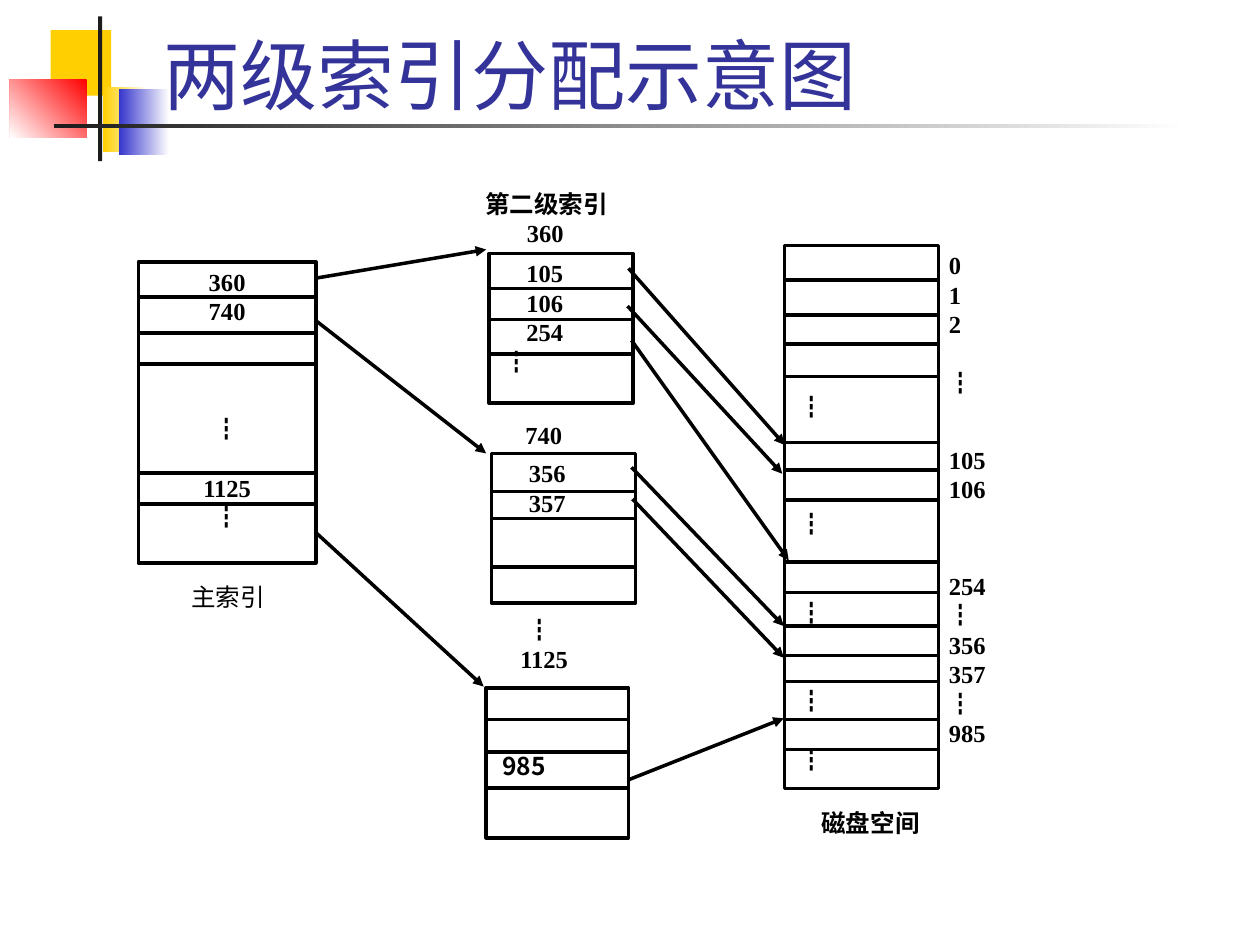
from pptx import Presentation
from pptx.dml.color import RGBColor
from pptx.enum.shapes import MSO_CONNECTOR, MSO_SHAPE
from pptx.enum.text import MSO_ANCHOR, MSO_AUTO_SIZE, PP_ALIGN
from pptx.oxml.ns import qn
from pptx.util import Cm, Pt
from lxml.etree import SubElement

SERIF, SANS = "Times New Roman", "Noto Sans CJK SC"
BLACK, WHITE, YELLOW = "000000", "FFFFFF", "FFCF01"
LINE = 16.8  # line pitch of the 14 pt text, in points
LINE_CM = 0.59
DOTS = "┇"

TITLE = "两级索引分配示意图"

# Corner ornament: place (cm), start colour, end colour, gradient angle
ORNAMENT = [
    ((1.02, 0.61, 1.22, 1.32), YELLOW, None, 0),
    ((2.08, 1.75, 0.91, 1.32), YELLOW, WHITE, 0),
    ((2.39, 1.8, 1.02, 1.32), "3333CC", WHITE, 0),
    ((0.2, 1.6, 1.55, 1.17), "FF0000", WHITE, 225),
    ((1.98, 0.33, 0.08, 2.92), "1C1C1C", None, 0),
    ((1.09, 2.51, 22.86, 0.08), "1C1C1C", WHITE, 0),
]

# Paragraphs are (text, format); skip counts the lines left free above
CENTRED = {"align": PP_ALIGN.CENTER}
ENTRY = {"indent": 0.75}
DISK_DOTS = {"indent": 0.3, "bold": False}

# Blocks: place (cm), top inset, heights of the dividers, paragraphs
BLOCKS = [
    # Disk space
    ((15.82, 4.95, 3.1, 10.95), 5 * LINE_CM,
     [5.64, 6.35, 6.93, 7.59, 8.92, 9.47, 10.08, 11.33, 11.94, 12.62,
      13.21, 13.74, 14.5, 15.11],
     [(DOTS, DISK_DOTS)]
     + [(DOTS, {**DISK_DOTS, "skip": skip}) for skip in (3, 2, 2, 1)]),
    # Main index
    ((2.79, 5.28, 3.58, 6.07), 0.1, [5.99, 6.71, 7.34, 9.53, 10.16],
     [("360", CENTRED), ("740", CENTRED), (DOTS, {**CENTRED, "skip": 3}),
      ("1125", {**CENTRED, "skip": 1}), (DOTS, CENTRED)]),
    # Second-level indexes
    ((9.86, 5.11, 2.9, 3.02), 0.1, [5.82, 6.44, 7.14],
     [("105", ENTRY), ("106", ENTRY), ("254", ENTRY),
      (DOTS, {"indent": 0.32})]),
    ((9.91, 9.14, 2.9, 3.02), 0.1, [9.91, 10.45, 11.43],
     [("356", ENTRY), ("357", ENTRY)]),
    ((9.8, 13.87, 2.87, 3.02), 0.1 + 2 * LINE_CM, [14.5, 15.16, 15.88],
     [("985", {"indent": 0.33, "font": SANS})]),
]

# Labels: place (cm), paragraphs
LABELS = [
    ((9.78, 3.81, 3.15, 0.74), [("第二级索引", {})]),
    ((16.56, 16.28, 2.54, 0.66), [("磁盘空间", {})]),
    ((3.86, 11.73, 1.98, 0.74), [("主索引", {"bold": False})]),
    ((10.62, 4.39, 1.35, 0.69), [("360", {})]),
    ((10.59, 8.46, 1.45, 0.69), [("740", {})]),
    ((10.49, 12.4, 1.83, 1.24), [(DOTS, {"indent": 0.14}), ("1125", {})]),
    ((19.13, 5.05, 1.19, 10.19),
     [("0", {}), ("1", {}), ("2", {}), (DOTS, {"skip": 1}),
      ("105", {"skip": 1.6}), ("106", {}), ("254", {"skip": 2.3}),
      (DOTS, {}), ("356", {}), ("357", {}), (DOTS, {}), ("985", {})]),
]

# Pointers: from x, y to x, y (cm)
ARROWS = [
    (6.35, 5.61, 9.8, 5.03), (6.35, 6.45, 9.8, 9.14),
    (6.35, 10.72, 9.75, 13.84),
    (12.67, 5.41, 15.82, 8.97), (12.65, 6.17, 15.77, 9.55),
    (12.73, 6.86, 15.9, 11.3), (12.73, 9.42, 15.8, 12.62),
    (12.75, 10.06, 15.8, 13.26), (12.67, 15.72, 15.8, 14.48),
]


def color(value):
    return RGBColor.from_string(value)


def lengths(values):
    return [Cm(value) for value in values]


def add_text(frame, text, font=None, size=14, ink=BLACK, bold=True,
             align=PP_ALIGN.LEFT, indent=0, skip=0, spacing=LINE):
    """Write one paragraph, using the empty first one if it is free."""
    para = frame.paragraphs[0]
    if para.runs:
        para = frame.add_paragraph()
    para.alignment = align
    if spacing:
        para.line_spacing = Pt(spacing)
    if skip:
        para.space_before = Pt(skip * LINE)
    if indent:
        para._p.get_or_add_pPr().set("marL", str(Cm(indent)))
    span = para.add_run()
    span.text = text
    span.font.name = font or (SANS if text == DOTS else SERIF)
    span.font.size = Pt(size)
    span.font.bold = bold
    span.font.color.rgb = color(ink)
    SubElement(span._r.get_or_add_rPr(), qn("a:ea")).set("typeface", SANS)


def fill_frame(frame, paragraphs, top=0):
    frame.word_wrap = True
    frame.vertical_anchor = MSO_ANCHOR.TOP
    frame.margin_left = frame.margin_right = frame.margin_bottom = 0
    frame.margin_top = Cm(top)
    for text, style in paragraphs:
        add_text(frame, text, **style)


def add_box(page, place, fill, end=None, angle=0, outline=None):
    box = page.shapes.add_shape(MSO_SHAPE.RECTANGLE, *lengths(place))
    box.shadow.inherit = False
    if end:
        box.fill.gradient()
        box.fill.gradient_angle = angle
        for stop, value in zip(box.fill.gradient_stops, (fill, end)):
            stop.color.rgb = color(value)
    else:
        box.fill.solid()
        box.fill.fore_color.rgb = color(fill)
    if outline:
        box.line.color.rgb = color(outline)
        box.line.width = Pt(2)
    else:
        box.line.fill.background()
    return box


def add_line(page, ends, arrow=False):
    line = page.shapes.add_connector(MSO_CONNECTOR.STRAIGHT, *lengths(ends))
    line.line.color.rgb = color(BLACK)
    line.line.width = Pt(2)
    if arrow:
        outline = line.line._get_or_add_ln()
        SubElement(outline, qn("a:tailEnd")).set("type", "triangle")
    SubElement(line._element.spPr, qn("a:effectLst"))


def main():
    deck = Presentation()
    deck.slide_width, deck.slide_height = Cm(25.4), Cm(19.05)
    page = deck.slides.add_slide(deck.slide_layouts[5])

    # Ornament and title
    for place, start, end, angle in ORNAMENT:
        add_box(page, place, start, end, angle)
    title = page.shapes.title
    title.left, title.top, title.width, title.height = lengths(
        (3.05, 0.43, 21.64, 2.11))
    title.text_frame.auto_size = MSO_AUTO_SIZE.NONE
    title.text_frame.vertical_anchor = MSO_ANCHOR.BOTTOM
    add_text(title.text_frame, TITLE, font="Lato", size=44, ink="333399",
             bold=False, spacing=None)

    # Index blocks and disk, each with its dividers
    for place, top, dividers, paragraphs in BLOCKS:
        box = add_box(page, place, WHITE, outline=BLACK)
        fill_frame(box.text_frame, paragraphs, top)
        left, right = place[0], place[0] + place[2]
        for height in dividers:
            add_line(page, (left, height, right, height))

    # Labels and pointers
    for place, paragraphs in LABELS:
        label = page.shapes.add_textbox(*lengths(place))
        fill_frame(label.text_frame, paragraphs)
    for ends in ARROWS:
        add_line(page, ends, arrow=True)

    deck.save("out.pptx")


if __name__ == "__main__":
    main()
